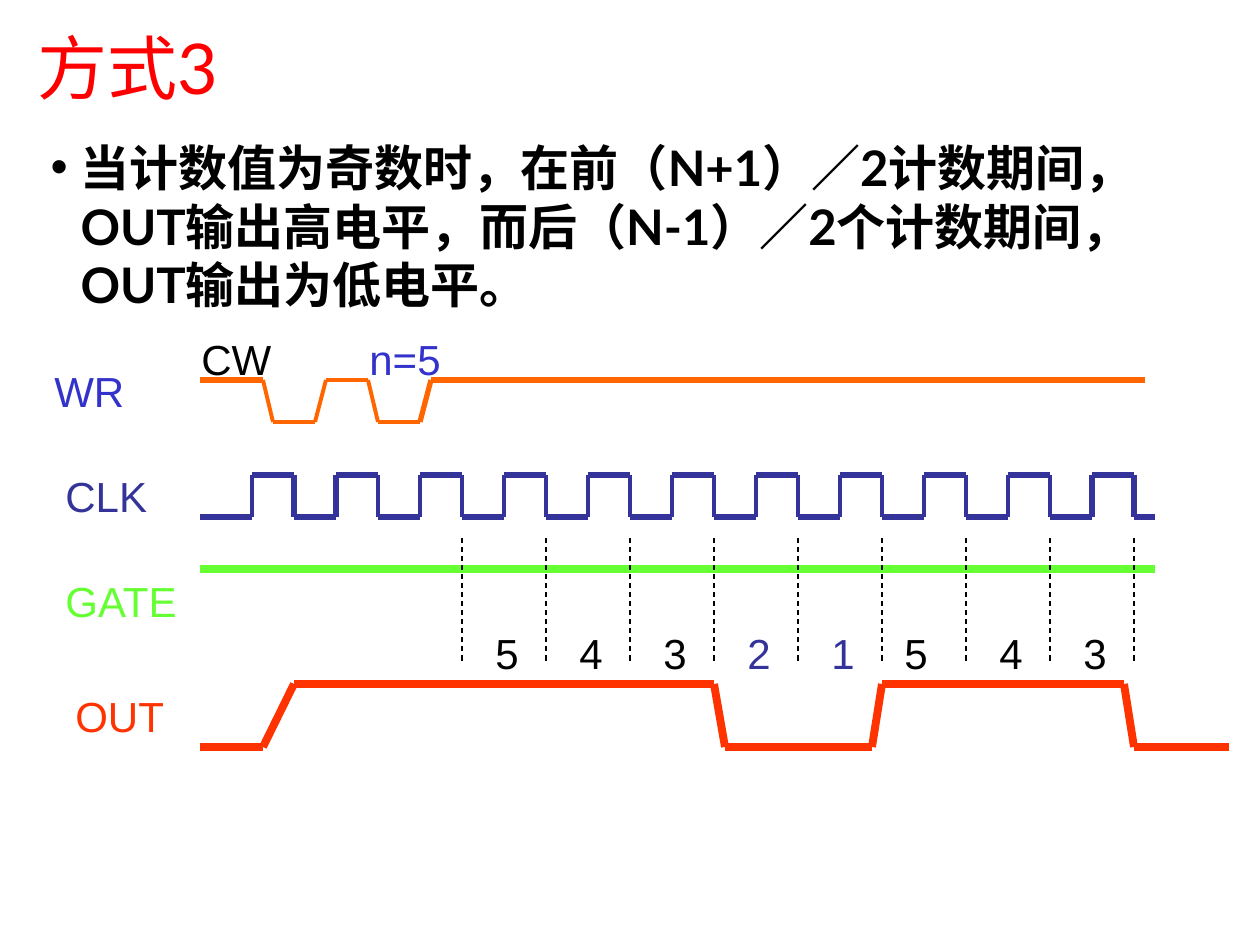
from itertools import pairwise

from pptx import Presentation
from pptx.dml.color import RGBColor
from pptx.enum.dml import MSO_LINE
from pptx.enum.shapes import MSO_CONNECTOR
from pptx.enum.text import MSO_ANCHOR, PP_ALIGN
from pptx.oxml.ns import qn
from pptx.util import Pt
from lxml.etree import SubElement

PX = 914400 / 126  # EMU in one px
BLACK, RED, NAVY, BLUE = "000000", "FF0000", "333399", "3333CC"
ORANGE, GREEN, VERMILION = "FF6600", "66FF33", "FF3300"


def write(box, place, text, font, size, color, bold=False):
    """Place a text shape and fill it with one formatted paragraph."""
    box.left, box.top, box.width, box.height = [round(v * PX) for v in place]
    frame = box.text_frame
    frame.word_wrap = True
    frame.text = text
    para = frame.paragraphs[0]
    para.alignment = PP_ALIGN.LEFT
    span = para.runs[0].font
    span.name, span.size, span.bold = font, Pt(size), bold
    span.color.rgb = RGBColor.from_string(color)
    return para


def draw_line(start, end, color, width):
    ends = [round(v * PX) for v in (*start, *end)]
    line = page.shapes.add_connector(MSO_CONNECTOR.STRAIGHT, *ends)
    line.line.color.rgb = RGBColor.from_string(color)
    line.line.width = Pt(width)
    SubElement(line._element.spPr, qn("a:effectLst"))
    return line


deck = Presentation()
deck.slide_width, deck.slide_height = round(1260 * PX), round(945 * PX)
page = deck.slides.add_slide(deck.slide_layouts[1])

# Title and explanation
title, body = page.placeholders
write(title, (25, 33, 1074, 82), "方式3", "Lato", 40, RED)
title.text_frame.vertical_anchor = MSO_ANCHOR.BOTTOM
para = write(body, (38, 131, 1108, 189),
             "当计数值为奇数时，在前（N+1）／2计数期间，OUT输出高电平，"
             "而后（N-1）／2个计数期间，OUT输出为低电平。",
             "Lato", 28, BLACK, bold=True)
para.space_before = Pt(0)
props = para._p.get_or_add_pPr()
props.set("marL", str(round(30 * PX)))
props.set("indent", str(round(-30 * PX)))
props.set("hangingPunct", "0")  # keep commas inside the margin
SubElement(props, qn("a:buChar")).set("char", "•")

# WR: two low pulses
wr_points = [(200, 380), (263, 380), (273, 422), (315, 422), (326, 380),
             (368, 380), (378, 422), (420, 422), (431, 380), (1145, 380)]
wr_widths = [3] + [2.25] * 6 + [3, 3]
for (start, end), width in zip(pairwise(wr_points), wr_widths):
    draw_line(start, end, ORANGE, width)

# CLK: a square wave that changes level every half period
HALF, FIRST_EDGE, CLK_HIGH, CLK_LOW = 42, 252, 475, 517
edges = [FIRST_EDGE + HALF * i for i in range(22)]
thick_edges = edges[1:3] + edges[-2:]
for i, (left, right) in enumerate(pairwise([200, *edges, 1155])):
    level = CLK_HIGH if i % 2 else CLK_LOW
    draw_line((left, level), (right, level), NAVY, 3)
for x in edges:
    draw_line((x, CLK_HIGH), (x, CLK_LOW), NAVY, 3 if x in thick_edges else 2.25)

# GATE: always high
draw_line((200, 569), (1155, 569), GREEN, 4.5)

# Dashed markers on the falling clock edges
for x in edges[5::2]:
    marker = draw_line((x, 538), (x, 664), BLACK, 0.75)
    marker.line.dash_style = MSO_LINE.DASH

# OUT: three counts high, two counts low
out_points = [(200, 747), (263, 747), (294, 684), (714, 684), (725, 747),
              (872, 747), (882, 684), (1124, 684), (1134, 747), (1229, 747)]
for start, end in pairwise(out_points):
    draw_line(start, end, VERMILION, 4.5)

# Count values between the markers, then signal names
labels = [(483 + 2 * HALF * i, 621, 53, digit, NAVY if digit in "21" else BLACK)
          for i, digit in enumerate("54321543")]
labels[5] = (892, *labels[5][1:])  # the reload sits closer to its marker
labels += [
    (189, 327, 105, "CW", BLACK),
    (357, 327, 105, "n=5", BLUE),
    (42, 359, 116, "WR", BLUE),
    (53, 464, 126, "CLK", NAVY),
    (53, 569, 147, "GATE", GREEN),
    (63, 684, 126, "OUT", VERMILION),
]
for left, top, width, text, color in labels:
    box = page.shapes.add_textbox(0, 0, 0, 0)
    write(box, (left, top, width, 63), text, "Arial", 24, color)

deck.save("out.pptx")
